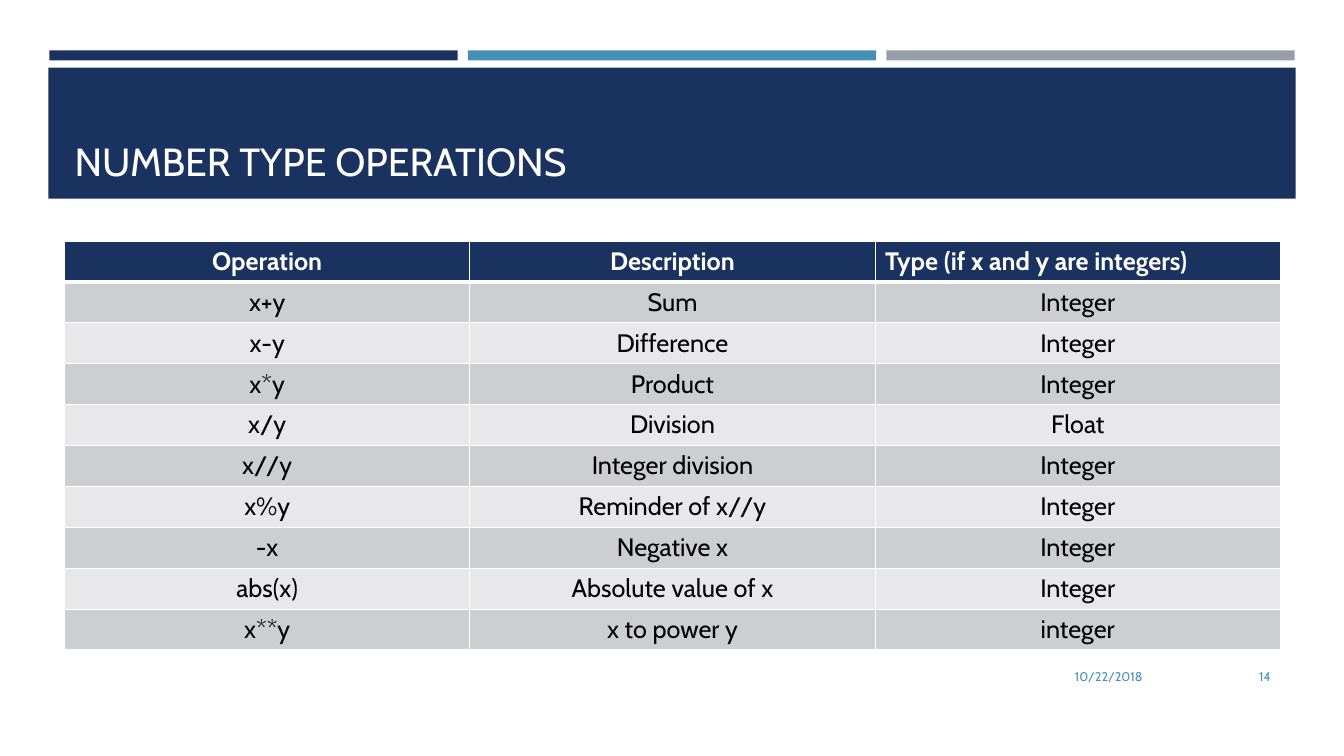
from lxml.etree import SubElement
from pptx import Presentation
from pptx.dml.color import RGBColor
from pptx.enum.shapes import MSO_SHAPE
from pptx.enum.text import MSO_ANCHOR, PP_ALIGN
from pptx.oxml import parse_xml
from pptx.oxml.ns import nsdecls, qn
from pptx.util import Inches, Pt

COLORS = {
    "navy": "1A3260",
    "blue": "4590B8",
    "gray": "969FA7",
    "white": "FFFFFF",
    "black": "000000",
    "dark_row": "CDCED2",
    "light_row": "E8E8EA",
}

OPERATIONS = [
    ("Operation", "Description", "Type (if x and y are integers)"),
    ("x+y", "Sum", "Integer"),
    ("x-y", "Difference", "Integer"),
    ("x*y", "Product", "Integer"),
    ("x/y", "Division", "Float"),
    ("x//y", "Integer division", "Integer"),
    ("x%y", "Reminder of x//y", "Integer"),
    ("-x", "Negative x", "Integer"),
    ("abs(x)", "Absolute value of x", "Integer"),
    ("x**y", "x to power y", "integer"),
]


class SlideBuilder:
    """Holds the style and the current slide."""

    font_name = "Cabin"

    def __init__(self, page):
        self.page = page

    def color(self, name):
        return RGBColor.from_string(COLORS[name])

    def add_text(self, frame, text, size, color, align=PP_ALIGN.LEFT, bold=False):
        para = frame.paragraphs[0]
        para.alignment = align
        span = para.add_run()
        span.text = text
        span.font.name = self.font_name
        span.font.size = Pt(size)
        span.font.bold = bold
        span.font.color.rgb = self.color(color)

    def bar(self, left, top, width, height, color):
        box = self.page.shapes.add_shape(
            MSO_SHAPE.RECTANGLE, Inches(left), Inches(top), Inches(width), Inches(height))
        box.shadow.inherit = False
        box.fill.solid()
        box.fill.fore_color.rgb = self.color(color)
        box.line.fill.background()

    def title(self, text, left, top, width, height):
        box = self.page.shapes.title
        box.left, box.top = Inches(left), Inches(top)
        box.width, box.height = Inches(width), Inches(height)
        box.text_frame.word_wrap = True
        box.text_frame.vertical_anchor = MSO_ANCHOR.BOTTOM
        self.add_text(box.text_frame, text, 28, "white")
        # Bring the title in front of its band
        self.page.shapes.element.append(box.element)

    def footer(self, text, left, top, width, height):
        box = self.page.shapes.add_textbox(
            Inches(left), Inches(top), Inches(width), Inches(height))
        box.text_frame.word_wrap = True
        box.text_frame.vertical_anchor = MSO_ANCHOR.MIDDLE
        self.add_text(box.text_frame, text, 9, "blue", PP_ALIGN.RIGHT)

    def borders(self, cell, top, bottom):
        properties = cell._tc.get_or_add_tcPr()
        widths = {"lnL": 1, "lnR": 1, "lnT": top, "lnB": bottom}
        for position, (side, width) in enumerate(widths.items()):
            line = parse_xml(f'<a:{side} {nsdecls("a")} w="{Pt(width)}"/>')
            fill = SubElement(line, qn("a:solidFill"))
            SubElement(fill, qn("a:srgbClr"), val=COLORS["white"])
            properties.insert(position, line)

    def table(self, rows, left, top, width, height):
        table = self.page.shapes.add_table(
            len(rows), len(rows[0]),
            Inches(left), Inches(top), Inches(width), Inches(height)).table
        for r, row in enumerate(rows):
            header = r == 0
            band = "navy" if header else ("dark_row" if r % 2 else "light_row")
            for c, text in enumerate(row):
                cell = table.cell(r, c)
                cell.fill.solid()
                cell.fill.fore_color.rgb = self.color(band)
                self.borders(cell, top=3 if r == 1 else 1, bottom=3 if header else 1)
                # The last heading alone is left-aligned
                left_aligned = header and c == len(row) - 1
                self.add_text(cell.text_frame, text, 18, "white" if header else "black",
                              PP_ALIGN.LEFT if left_aligned else PP_ALIGN.CENTER, header)


def main():
    deck = Presentation()
    deck.slide_width, deck.slide_height = Inches(13.33), Inches(7.5)
    page = deck.slides.add_slide(deck.slide_layouts[5])
    builder = SlideBuilder(page)

    # Top strips and title band
    for index, color in enumerate(("navy", "blue", "gray")):
        builder.bar(0.49 + index * 4.15, 0.5, 4.05, 0.1, color)
    builder.bar(0.48, 0.67, 12.37, 1.3, "navy")
    builder.title("NUMBER TYPE OPERATIONS", 0.64, 0.77, 12.06, 1.11)

    # Operations table
    builder.table(OPERATIONS, 0.64, 2.39, 12.06, 4.06)

    # Date and slide number
    builder.footer("10/22/2018", 8.32, 6.51, 3.11, 0.4)
    builder.footer("14", 11.55, 6.51, 1.15, 0.4)

    deck.save("out.pptx")


if __name__ == "__main__":
    main()
